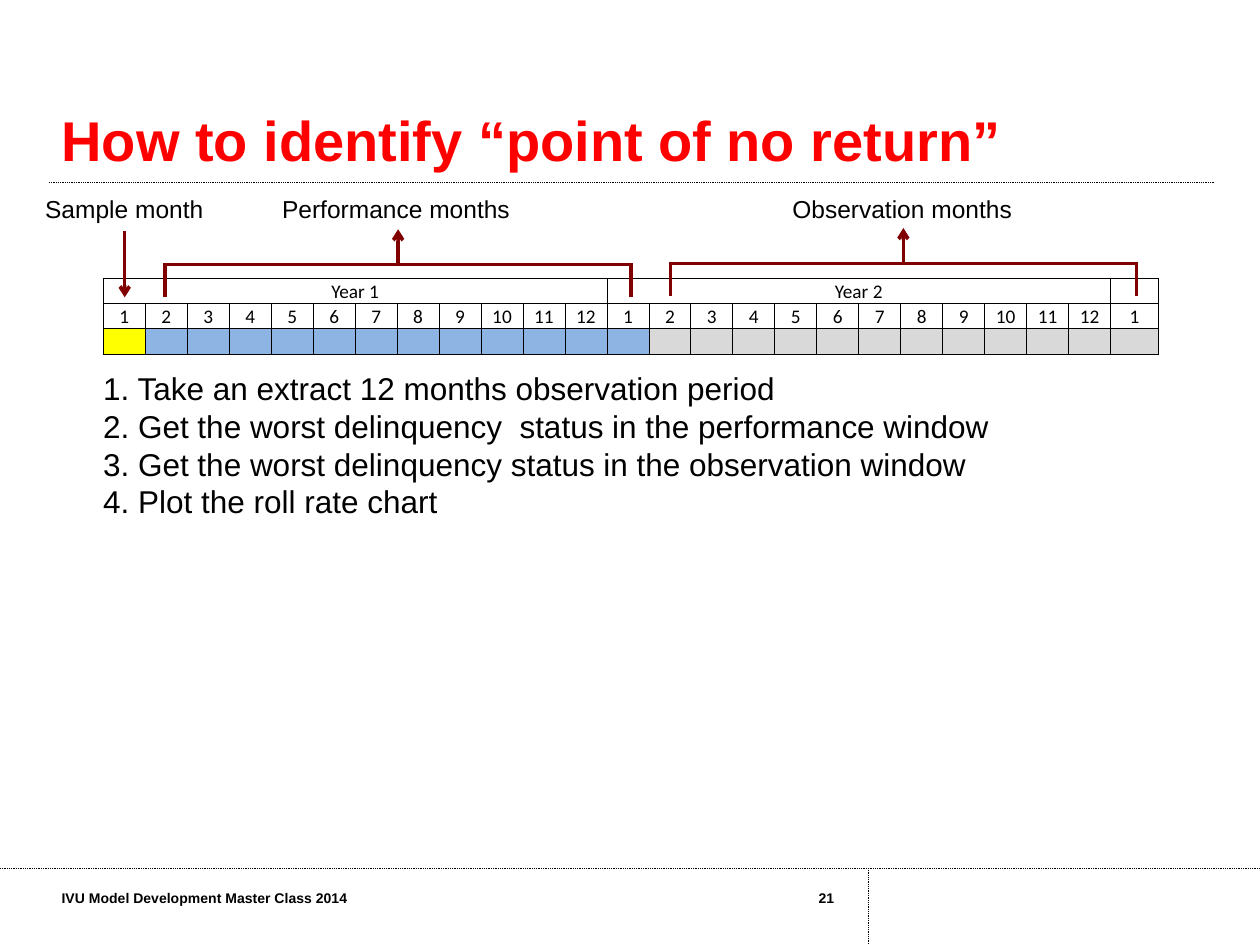
from lxml import etree
from pptx import Presentation
from pptx import util as u
from pptx.dml.color import RGBColor
from pptx.enum import dml, shapes, text
from pptx.oxml.ns import qn

prs = Presentation()
prs.slide_width, prs.slide_height = u.Inches(10), u.Inches(7.5)
s = prs.slides.add_slide(prs.slide_layouts[6])
rgb = RGBColor.from_string


def add_text(content, x, y, w, h, size, color="000000", bold=False, wrap=True,
             align=text.PP_ALIGN.LEFT, anchor=text.MSO_ANCHOR.TOP, spacing=None):
    """Add a text box with one paragraph per line of content."""
    tf = s.shapes.add_textbox(*map(u.Inches, (x, y, w, h))).text_frame
    tf.word_wrap = wrap
    tf.vertical_anchor = anchor
    tf.text = content
    for p in tf.paragraphs:
        p.alignment = align
        if spacing:
            p.line_spacing = u.Pt(spacing)
        f = p.runs[0].font
        f.name, f.size, f.bold = "Arial", u.Pt(size), bold
        f.color.rgb = rgb(color)


def add_line(x1, y1, x2, y2, color="800000", width=2, dotted=False, arrow=False):
    c = s.shapes.add_connector(shapes.MSO_CONNECTOR.STRAIGHT,
                               *map(u.Inches, (x1, y1, x2, y2)))
    c.line.color.rgb = rgb(color)
    c.line.width = u.Pt(width)
    if dotted:
        c.line.dash_style = dml.MSO_LINE.ROUND_DOT
    if arrow:
        etree.SubElement(c.line._get_or_add_ln(), qn("a:tailEnd"), type="arrow")
    etree.SubElement(c._element.spPr, qn("a:effectLst"))


# Frame lines, title and footer
for ends in ((0.39, 1.45, 9.64, 1.45), (0, 6.89, 10, 6.89), (6.89, 6.89, 6.89, 7.5)):
    add_line(*ends, color="000000", width=0.5, dotted=True)
add_text("How to identify “point of no return”", 0.39, 0.39, 9.25, 1.03, 32,
         color="FF0000", bold=True, anchor=text.MSO_ANCHOR.BOTTOM, spacing=32)
add_text("IVU Model Development Master Class 2014", 0.39, 7.01, 3.51, 0.39, 8, bold=True)
add_text("21", 5.51, 7.01, 1.21, 0.39, 8, bold=True, align=text.PP_ALIGN.RIGHT)

# Timeline table: years, months, window colours
months = 25
frame = s.shapes.add_table(3, months, *map(u.Inches, (0.82, 2.21, 8.38, 0.6)))
tbl = frame.table
tbl.first_row = tbl.horz_banding = False
for row in tbl.rows:
    row.height = u.Inches(0.2)
for col in tbl.columns:
    col.width = u.Inches(8 / 24)
tbl.columns[months - 1].width = u.Inches(0.38)

window_colors = ["FFFF00"] + ["8DB4E2"] * 12 + ["D9D9D9"] * 12
years = {0: "Year 1", 12: "Year 2"}
for r in range(3):
    for i in range(months):
        cell = tbl.cell(r, i)
        cell.margin_left = cell.margin_right = cell.margin_top = u.Inches(0.01)
        cell.margin_bottom = 0
        cell.vertical_anchor = text.MSO_ANCHOR.MIDDLE if r else text.MSO_ANCHOR.BOTTOM
        label = (years.get(i, ""), str(i % 12 + 1), "")[r]
        p = cell.text_frame.paragraphs[0]
        p.alignment = text.PP_ALIGN.CENTER
        if label:
            run = p.add_run()
            run.text = label
            run.font.name, run.font.size = "Calibri", u.Pt(11)
            run.font.color.rgb = rgb("000000")
        else:
            etree.SubElement(p._p, qn("a:endParaRPr"), sz="1100")
        tcPr = cell._tc.get_or_add_tcPr()
        for side in ("a:lnL", "a:lnR", "a:lnT", "a:lnB"):
            ln = etree.SubElement(tcPr, qn(side), w=str(u.Pt(0.5)))
            fill = etree.SubElement(ln, qn("a:solidFill"))
            etree.SubElement(fill, qn("a:srgbClr"), val="000000")
        if r == 2:
            cell.fill.solid()
            cell.fill.fore_color.rgb = rgb(window_colors[i])
        else:
            cell.fill.background()
for i in years:
    tbl.cell(0, i).merge(tbl.cell(0, i + 11))

# Steps
add_text("1. Take an extract 12 months observation period\n"
         "2. Get the worst delinquency  status in the performance window\n"
         "3. Get the worst delinquency status in the observation window\n"
         "4. Plot the roll rate chart", 0.72, 2.88, 8.5, 1.31, 18)

# Window labels, sample arrow and brackets
for label, x, w in (("Sample month", 0.26, 1.47), ("Performance months", 2.14, 2.02),
                    ("Observation months", 6.19, 1.96)):
    add_text(label, x, 1.49, w, 0.34, 14, wrap=False)
add_line(0.99, 1.83, 0.99, 2.36, arrow=True)
for left, top in ((1.31, 2.09), (5.32, 2.08)):
    right, mid = left + 3.7, left + 1.85
    for x in (left, right):
        add_line(x, top, x, top + 0.27)
    add_line(left - 0.01, top + 0.01, right + 0.01, top + 0.01)
    add_line(mid, top + 0.02, mid, top - 0.27, arrow=True)

prs.save("out.pptx")
